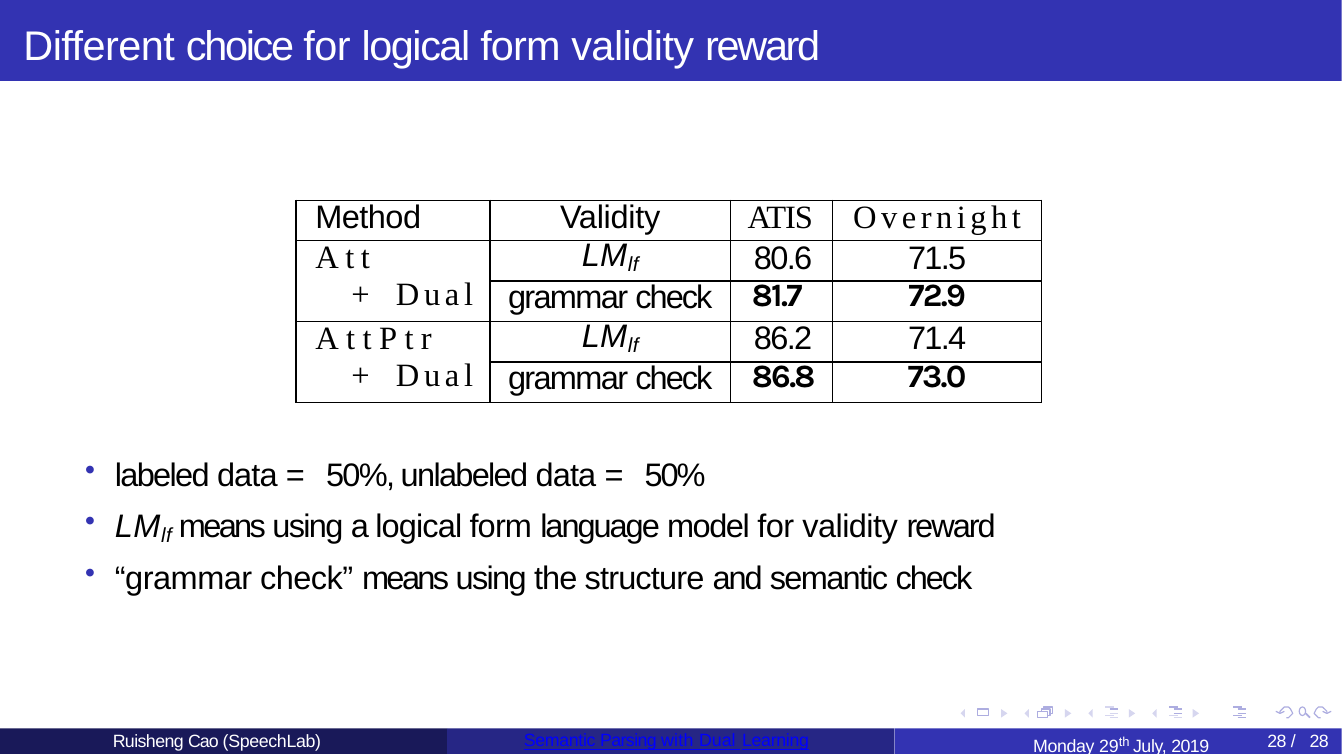
from dataclasses import dataclass, field
from typing import NamedTuple

from lxml.etree import SubElement
from pptx import Presentation
from pptx.dml.color import RGBColor
from pptx.enum.shapes import MSO_CONNECTOR as Connector, MSO_SHAPE as Preset
from pptx.enum.text import PP_ALIGN as Align
from pptx.oxml.ns import qn
from pptx.util import Inches, Pt

COLORS = {
    "royal": "3333B2", "indigo": "262685", "navy": "191959", "nav": "ADADE0",
    "nav_faint": "D6D6EF", "white": "FFFFFF", "black": "000000", "link": "0000FF",
}


class TextStyle(NamedTuple):
    font: dict
    color: str = "black"
    baseline: int = 0


STYLES = {
    "title": TextStyle({"name": "Arial", "size": Pt(14)}, "white"),
    "body": TextStyle({"name": "Arial", "size": Pt(11)}),
    "math": TextStyle({"name": "Arial", "size": Pt(11), "italic": True}),
    "subscript": TextStyle({"name": "Arial", "size": Pt(12), "italic": True}, "black", -14),
    "serif": TextStyle({"name": "Times New Roman", "size": Pt(11)}),
    "best": TextStyle({"name": "Karla", "size": Pt(11), "bold": True}),
    "footer": TextStyle({"name": "Arial", "size": Pt(6)}, "white"),
    "ordinal": TextStyle({"name": "Arial", "size": Pt(7.5)}, "white", 28),
    "link": TextStyle({"name": "Arial", "size": Pt(6), "underline": True}, "link"),
}


class Span(NamedTuple):
    text: str
    spacing: float
    style: str = "body"


@dataclass(frozen=True)
class Para:
    spans: list
    indent: float = 0
    hanging: float = 0
    bullet: bool = False
    layout: dict = field(default_factory=dict)


class TextBlock(NamedTuple):
    box: tuple
    paras: list
    top_inset: float = 0


class Band(NamedTuple):
    box: tuple
    color: str


class Method(NamedTuple):
    name: str
    spacing: float
    lm_scores: tuple
    grammar_scores: tuple


def rgb(name: str) -> RGBColor:
    return RGBColor.from_string(COLORS[name])


def write(frame, paras: list) -> None:
    for index, para in enumerate(paras):
        line = frame.paragraphs[0] if index == 0 else frame.add_paragraph()
        for attr, value in para.layout.items():
            setattr(line, attr, value)
        props = line._p.get_or_add_pPr()
        props.set("marL", str(Inches(para.indent)))
        props.set("indent", str(Inches(para.hanging)))
        if para.bullet:
            tint = SubElement(props, qn("a:buClr"))
            SubElement(tint, qn("a:srgbClr"), val=COLORS["royal"])
            SubElement(props, qn("a:buSzPct"), val="91000")
            SubElement(props, qn("a:buChar"), char="•")
        for span in para.spans:
            style = STYLES[span.style]
            run = line.add_run()
            run.text = span.text
            for attr, value in style.font.items():
                setattr(run.font, attr, value)
            run.font.color.rgb = rgb(style.color)
            marks = run._r.get_or_add_rPr()
            marks.set("spc", str(round(span.spacing * 100)))
            if style.baseline:
                marks.set("baseline", str(style.baseline * 1000))


def draw_text(shapes, block: TextBlock) -> None:
    frame = shapes.add_textbox(*map(Inches, block.box)).text_frame
    settings = {"word_wrap": True, "margin_left": 0, "margin_right": 0,
                "margin_top": Inches(block.top_inset), "margin_bottom": 0}
    for attr, value in settings.items():
        setattr(frame, attr, value)
    write(frame, block.paras)


def paint(shape, fill: str = "", line: str = "") -> None:
    shape.shadow.inherit = False
    if fill:
        shape.fill.solid()
        shape.fill.fore_color.rgb = rgb(fill)
    else:
        shape.fill.background()
    if line:
        shape.line.color.rgb = rgb(line)
        shape.line.width = Pt(0.4)
    else:
        shape.line.fill.background()


def draw_preset(shapes, preset, box: tuple, fill: str = "", line: str = "") -> None:
    paint(shapes.add_shape(preset, *map(Inches, box)), fill, line)


def draw_path(shapes, points: list, fill: str = "", line: str = "") -> None:
    corners = [(Inches(x), Inches(y)) for x, y in points]
    builder = shapes.build_freeform(*corners[0], scale=1)
    builder.add_line_segments(corners[1:], close=bool(fill))
    paint(builder.convert_to_shape(), fill, line)


def draw_stroke(shapes, start: tuple, end: tuple, color: str) -> None:
    stroke = shapes.add_connector(Connector.STRAIGHT, *map(Inches, start + end))
    stroke.line.color.rgb = rgb(color)
    stroke.line.width = Pt(0.6)
    SubElement(stroke._element.spPr, qn("a:effectLst"))


def draw_navigation(shapes) -> None:
    for group in range(4):
        back = 4.51 + 0.3 * group
        for tip, base in ((back, back + 0.02), (back + 0.22, back + 0.19)):
            draw_path(shapes, [(base, 3.33), (tip, 3.35), (base, 3.37)], fill="nav_faint")
    for left, top in ((4.59, 3.33), (4.87, 3.34)):
        draw_preset(shapes, Preset.RECTANGLE, (left, top, 0.05, 0.03), line="nav")
    for x, y in ((4.89, 3.33), (4.9, 3.32)):
        draw_path(shapes, [(x, y + 0.01), (x, y), (x + 0.04, y),
                           (x + 0.04, y + 0.03), (x + 0.03, y + 0.03)], line="nav")
    rows = ((0, 3.32), (0.02, 3.33), (0.02, 3.35), (0, 3.36), (0.02, 3.37))
    for left, strong in ((5.19, {1}), (5.49, {0, 1, 2}), (5.79, set(range(5)))):
        for row, (shift, y) in enumerate(rows):
            color = "nav" if row in strong else "nav_faint"
            draw_stroke(shapes, (left + shift, y), (left + shift + 0.04, y), color)
    draw_preset(shapes, Preset.OVAL, (6.1, 3.32, 0.03, 0.04), line="nav")
    draw_stroke(shapes, (6.13, 3.35), (6.15, 3.37), "nav")
    turn = [(6.04, 3.37), (6.05, 3.37), (6.06, 3.36), (6.07, 3.35), (6.06, 3.33),
            (6.05, 3.32), (6.03, 3.32), (6.02, 3.33), (6.01, 3.34), (6.01, 3.35)]
    head = [(6.03, 3.34), (6.01, 3.35), (5.99, 3.34)]
    for part in (turn, head):
        draw_path(shapes, part, line="nav")
        draw_path(shapes, [(12.24 - x, y) for x, y in part], line="nav")


def cell_para(*spans: Span, indent: float = 0, leading: float = 11.9) -> Para:
    layout = {"line_spacing": Pt(leading)}
    if not indent:
        layout["alignment"] = Align.CENTER
    return Para(list(spans), indent, layout=layout)


def result_rows(methods: list) -> list:
    rows = [[[cell_para(Span("Method", -0.2), indent=0.09)],
             [cell_para(Span("Validity", -0.1))],
             [cell_para(Span("ATIS", -0.4, "serif"), indent=0.08)],
             [cell_para(Span("Overnight", 1.5, "serif"))]]]
    for method in methods:
        name = [cell_para(Span(method.name, method.spacing, "serif"), indent=0.09),
                Para([Span("+ ", 3, "serif"), Span("Dual", 1.6, "serif")], 0.26,
                     layout={"space_before": Pt(0.3)})]
        lm = cell_para(Span("LM", 0.1, "math"), Span("lf", 0.2, "subscript"))
        grammar = cell_para(Span("grammar ", -0.6), Span("check", -0.7), leading=11.5)
        for label, validity, scores, style, indent, leading in (
                (name, lm, method.lm_scores, "body", 0.11, 11.9),
                ([], grammar, method.grammar_scores, "best", 0.1, 11.5)):
            atis, overnight = (Span(score, -0.6, style) for score in scores)
            rows.append([label, [validity], [cell_para(atis, indent=indent, leading=leading)],
                         [cell_para(overnight, leading=leading)]])
    return rows


def draw_results(shapes, methods: list) -> None:
    rows = result_rows(methods)
    widths = (0.91, 1.13, 0.48, 0.98)
    table = shapes.add_table(len(rows), len(widths), *map(Inches, (1.39, 0.94, 3.5, 0.95))).table
    table.first_row = table.horz_banding = False
    for column, width in zip(table.columns, widths):
        column.width = Inches(width)
    for r, row in enumerate(rows):
        table.rows[r].height = Inches(0.19)
        for c, paras in enumerate(row):
            cell = table.cell(r, c)
            for side in ("left", "right", "top", "bottom"):
                setattr(cell, f"margin_{side}", 0)
            props = cell._tc.get_or_add_tcPr()
            for edge in "LRTB":
                border = SubElement(props, qn(f"a:ln{edge}"), w=str(Pt(0.5)))
                ink = SubElement(border, qn("a:solidFill"))
                SubElement(ink, qn("a:srgbClr"), val=COLORS["black"])
            cell.fill.background()
            write(cell.text_frame, paras)
    for r in range(1, len(rows), 2):
        table.cell(r, 0).merge(table.cell(r + 1, 0))


def point(before: float, *spans: Span) -> Para:
    return Para(list(spans), 0.16, -0.14, True, {"space_before": Pt(before)})


def footer(*spans: Span, indent: float = 0.01) -> list:
    return [Para(list(spans), indent, layout={"line_spacing": Pt(6.8)})]


BANDS = [Band((0, 0, 6.3, 0.38), "royal")] + [
    Band((2.1 * i, 3.42, 2.1, 0.12), color) for i, color in enumerate(("navy", "indigo", "royal"))]
METHODS = [Method("Att", 2.2, ("80.6", "71.5"), ("81.7", "72.9")),
           Method("AttPtr", 2.5, ("86.2", "71.4"), ("86.8", "73.0"))]
TITLE = [("Different ", -0.2), ("choice ", -0.8), ("for ", -0.2), ("logical ", -0.5),
         ("form ", -0.3), ("validity ", -0.2), ("reward", -0.8)]
TEXTS = [
    TextBlock((0.1, 0.07, 3.85, 0.27), [Para(
        [Span(*word, "title") for word in TITLE], 0.01, layout={"space_before": Pt(1.4)})], 0.02),
    TextBlock((0.38, 2.07, 4.45, 0.72), [
        point(4.3, Span("labeled ", -0.6), Span("data ", -0.3), Span("= ", 2),
              Span("50%, unlabeled ", -0.6), Span("data ", -0.3), Span("= ", 2), Span("50%", -0.7)),
        point(3.3, Span("LM", 0.1, "math"), Span("lf ", 0.2, "subscript"), Span("means ", -0.9),
              Span("using ", -0.6), Span("a ", -0.9), Span("logical form ", -0.3),
              Span("language ", -0.7), Span("model ", -0.5), Span("for validity ", -0.2),
              Span("reward", -0.7)),
        point(3.3, Span("“grammar check” ", -0.2), Span("means ", -0.9), Span("using ", -0.6),
              Span("the structure ", -0.3), Span("and ", -0.7), Span("semantic ", -0.6),
              Span("check", -0.7))], 0.06),
    TextBlock((4.84, 3.41, 0.91, 0.14), [Para(
        [Span("Monday ", -0.1, "footer"), Span("29", 0, "footer"), Span("th ", 0, "ordinal"),
         Span("July, ", -0.1, "footer"), Span("2019", -0.2, "footer")],
        0.01, layout={"space_before": Pt(1.3)})], 0.02),
    TextBlock((0.52, 3.43, 1.06, 0.11), footer(
        Span("Ruisheng ", -0.2, "footer"), Span("Cao ", -0.3, "footer"),
        Span("(SpeechLab)", -0.1, "footer"))),
    TextBlock((2.45, 3.43, 1.4, 0.1), footer(
        Span("Semantic ", -0.1, "link"), Span("Parsing ", -0.2, "link"), Span("with ", 0.1, "link"),
        Span("Dual", 0, "link"), Span(" ", 0.5, "link"), Span("Learning", -0.1, "link"))),
    TextBlock((5.92, 3.43, 0.32, 0.11), footer(
        Span("28 ", -0.2, "footer"), Span("/ ", 1.5, "footer"), Span("28", -0.2, "footer"),
        indent=0.03)),
]


def main() -> None:
    deck = Presentation()
    deck.slide_width, deck.slide_height = Inches(6.31), Inches(3.55)
    shapes = deck.slides.add_slide(deck.slide_layouts[6]).shapes
    draw_navigation(shapes)
    for band in BANDS:
        draw_preset(shapes, Preset.RECTANGLE, band.box, fill=band.color)
    draw_results(shapes, METHODS)
    for block in TEXTS:
        draw_text(shapes, block)
    deck.save("out.pptx")


if __name__ == "__main__":
    main()
